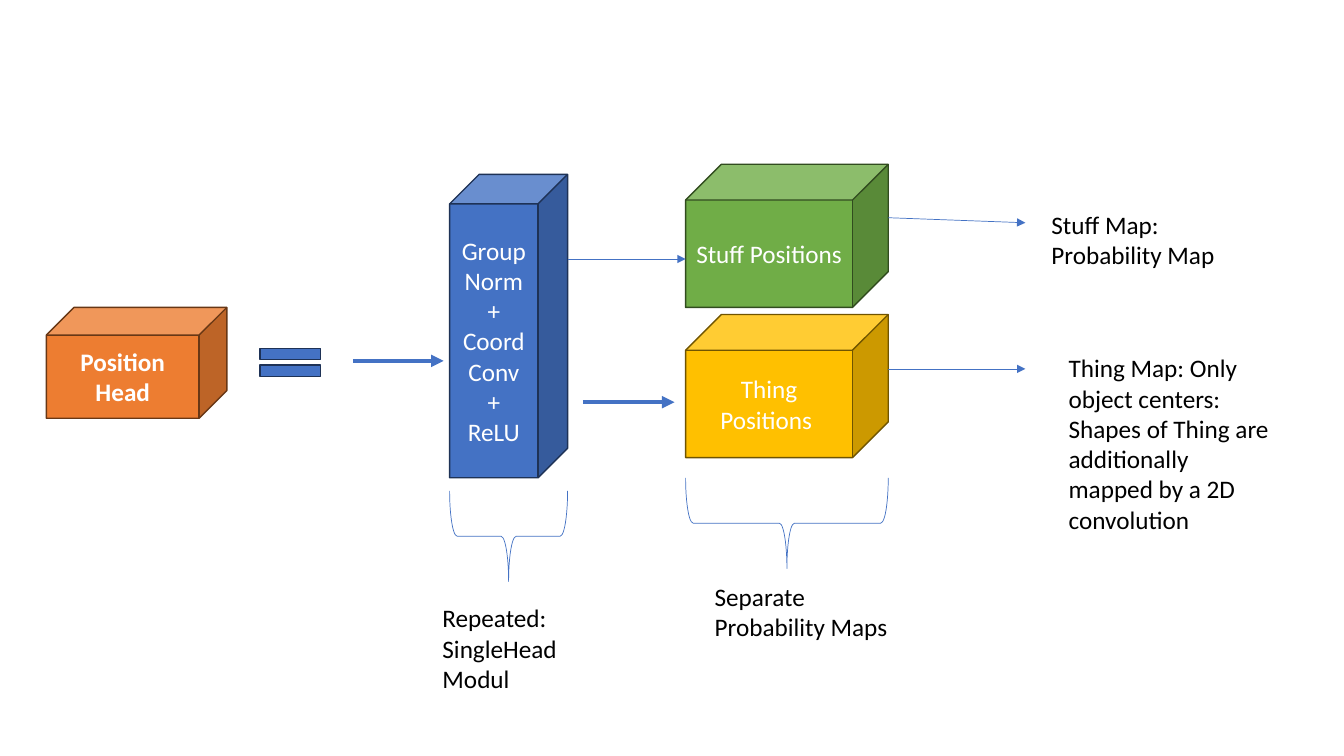
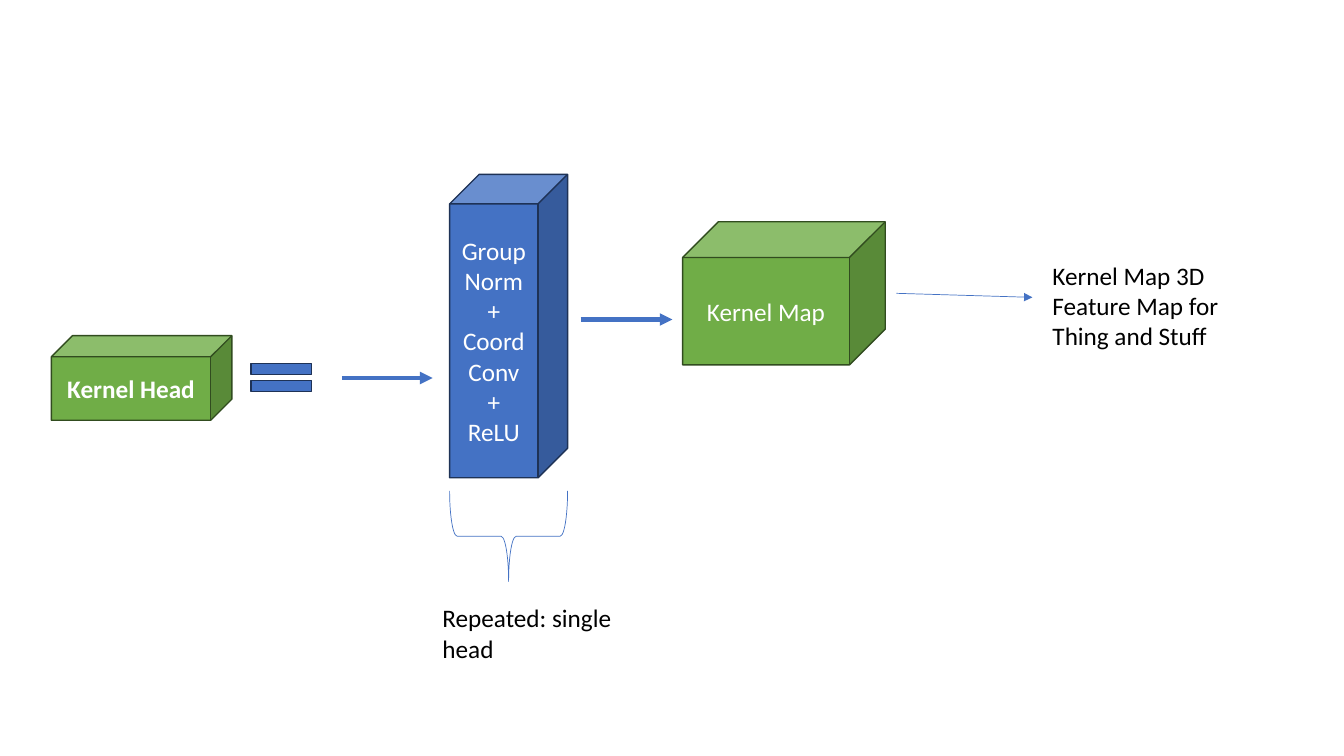
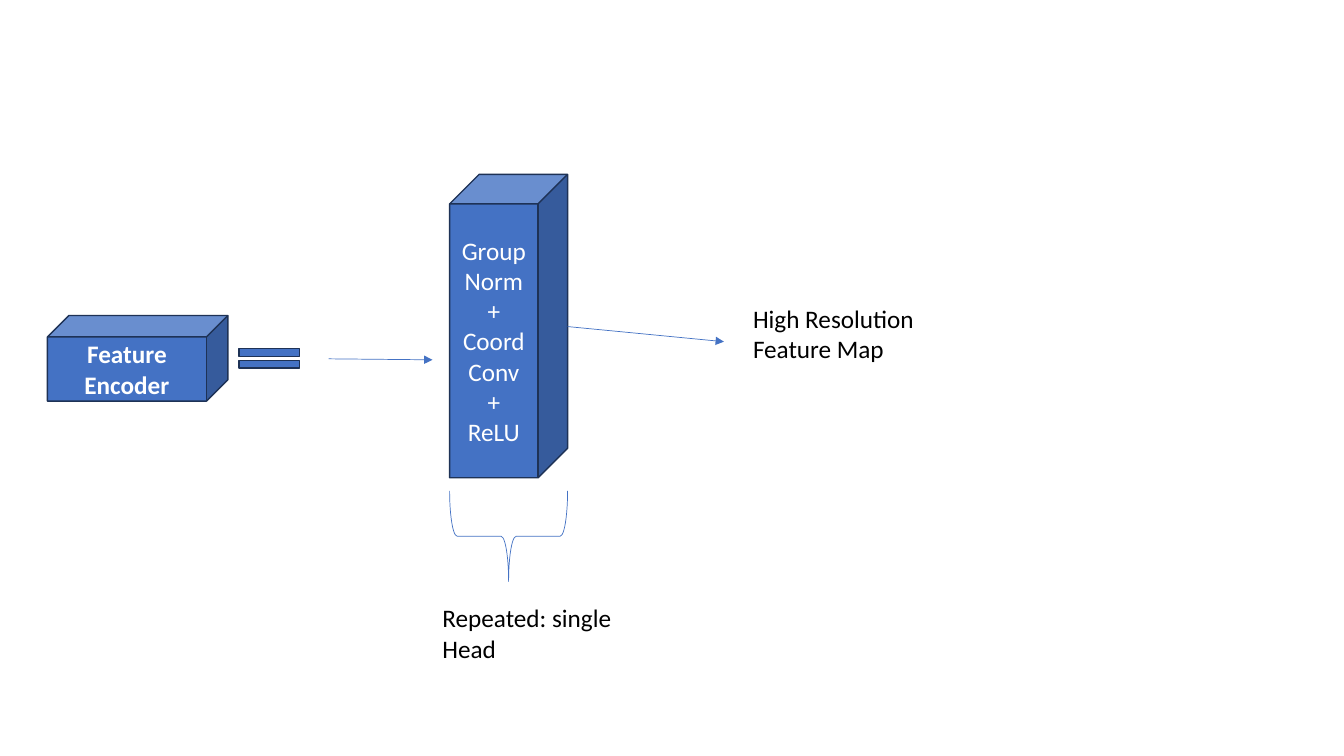
from lxml import etree
from pptx import Presentation
from pptx.dml.color import RGBColor
from pptx.enum.shapes import MSO_CONNECTOR, MSO_SHAPE
from pptx.enum.text import MSO_ANCHOR, MSO_AUTO_SIZE, PP_ALIGN
from pptx.oxml.ns import qn
from pptx.util import Inches, Pt

CUBE = MSO_SHAPE.CUBE
EQUALS = MSO_SHAPE.MATH_EQUAL
BRACE = MSO_SHAPE.LEFT_BRACE
STRAIGHT = MSO_CONNECTOR.STRAIGHT
CENTER, LEFT = PP_ALIGN.CENTER, PP_ALIGN.LEFT
MIDDLE, TOP = MSO_ANCHOR.MIDDLE, MSO_ANCHOR.TOP
GROW = MSO_AUTO_SIZE.SHAPE_TO_FIT_TEXT

SLIDE_WIDTH, SLIDE_HEIGHT = 13.33, 7.5
FONT, TEXT_SIZE = "Calibri", 18
BLACK, WHITE = "000000", "FFFFFF"
BLUE = ("4472C4", "1E3256")
GREEN = ("70AD47", "314C1F")
ORANGE = ("ED7D31", "683715")
GOLD = ("FFC000", "705400")
THIN, OUTLINE, THICK = 0.5, 1, 3

HEAD_WIDTH = 1.79
MODULE_LEFT, MODULE_TOP, MODULE_WIDTH, MODULE_HEIGHT = 4.46, 1.73, 1.17, 3.01
MODULE_RIGHT = MODULE_LEFT + MODULE_WIDTH
MODULE_LINES = ["GroupNorm", "+", "CoordConv", "+", "ReLU"]
MAP_LEFT, MAP_WIDTH, MAP_HEIGHT = 6.8, 2.01, 1.42
MAP_RIGHT = MAP_LEFT + MAP_WIDTH
BRACE_DEPTH = 0.9
CAPTION_WIDTH, RESULT_WIDTH = 1.94, 2.21
LINE_HEIGHT, TEXT_MARGINS = 0.3, 0.1


def color(code):
    return RGBColor.from_string(code)


def write(frame, lines, code, align, anchor, bold=False):
    frame.word_wrap = True
    frame.vertical_anchor = anchor
    for index, line in enumerate(lines):
        para = frame.paragraphs[0] if index == 0 else frame.add_paragraph()
        para.alignment = align
        span = para.add_run()
        span.text = line
        span.font.name = FONT
        span.font.size = Pt(TEXT_SIZE)
        span.font.bold = bold
        span.font.color.rgb = color(code)


def add_figure(page, kind, left, top, width, height, line, weight, fill=None):
    figure = page.shapes.add_shape(
        kind, Inches(left), Inches(top), Inches(width), Inches(height))
    figure.shadow.inherit = False
    if fill:
        figure.fill.solid()
        figure.fill.fore_color.rgb = color(fill)
    else:
        figure.fill.background()
    figure.line.color.rgb = color(line)
    figure.line.width = Pt(weight)
    return figure


def add_cube(page, left, top, width, height, paint, lines, bold=False):
    fill, line = paint
    cube = add_figure(page, CUBE, left, top, width, height, line, OUTLINE, fill)
    write(cube.text_frame, lines, WHITE, CENTER, MIDDLE, bold)


def add_head(page, left, top, height, paint, label):
    add_cube(page, left, top, HEAD_WIDTH, height, paint, [label], True)


def add_map(page, left, top, paint, label):
    add_cube(page, left, top, MAP_WIDTH, MAP_HEIGHT, paint, [label])


def add_equals(page, left, top, height):
    fill, line = BLUE
    add_figure(page, EQUALS, left, top, 0.82, height, line, OUTLINE, fill)


def add_brace(page, left, top, span_width):
    shift = (span_width - BRACE_DEPTH) / 2
    brace = add_figure(page, BRACE, left + shift, top - shift,
                       BRACE_DEPTH, span_width, BLUE[0], THIN)
    brace.rotation = 270


def add_label(page, left, top, width, rows, *lines):
    box = page.shapes.add_textbox(
        Inches(left), Inches(top), Inches(width),
        Inches(rows * LINE_HEIGHT + TEXT_MARGINS))
    write(box.text_frame, lines, BLACK, LEFT, TOP)
    box.text_frame.auto_size = GROW


def add_arrow(page, start, end, weight=THIN):
    arrow = page.shapes.add_connector(
        STRAIGHT, *(Inches(value) for value in (*start, *end)))
    arrow.line.color.rgb = color(BLUE[0])
    arrow.line.width = Pt(weight)
    tail = etree.SubElement(arrow.line._get_or_add_ln(), qn("a:tailEnd"))
    tail.set("type", "triangle")
    etree.SubElement(arrow._element.spPr, qn("a:effectLst"))


def add_module(page, caption, rows):
    add_cube(page, MODULE_LEFT, MODULE_TOP, MODULE_WIDTH, MODULE_HEIGHT,
             BLUE, MODULE_LINES)
    add_brace(page, MODULE_LEFT, 4.87, MODULE_WIDTH)
    add_label(page, 4.29, 5.93, CAPTION_WIDTH, rows, caption)


def build_position_head(page):
    add_head(page, 0.46, 3.05, 1.1, ORANGE, "Position Head")
    add_equals(page, 2.47, 3.36, 0.47)
    add_arrow(page, (3.5, 3.58), (4.4, 3.58), THICK)
    add_map(page, MAP_LEFT, 1.63, GREEN, "Stuff Positions")
    add_map(page, MAP_LEFT, 3.12, GOLD, "Thing Positions ")
    add_module(page, "Repeated: SingleHead Modul", 3)
    add_brace(page, MAP_LEFT, 4.74, MAP_WIDTH)
    add_label(page, 6.99, 5.72, CAPTION_WIDTH, 2, "Separate Probability Maps")
    add_arrow(page, (MODULE_RIGHT, 2.57), (MAP_LEFT, 2.57))
    add_arrow(page, (MAP_RIGHT, 2.16), (10.17, 2.21))
    add_arrow(page, (MAP_RIGHT, 3.66), (10.17, 3.66))
    add_label(page, 10.33, 2.03, RESULT_WIDTH, 2, "Stuff Map: Probability Map")
    add_label(page, 10.5, 3.45, RESULT_WIDTH, 6,
              "Thing Map: Only object centers:",
              "Shapes of Thing are additionally mapped by a 2D convolution")
    add_arrow(page, (5.78, 3.99), (6.69, 3.99), THICK)


def build_kernel_head(page):
    add_head(page, 0.51, 3.33, 0.84, GREEN, "Kernel Head")
    add_equals(page, 2.38, 3.51, 0.47)
    add_module(page, "Repeated: single head", 2)
    add_arrow(page, (3.39, 3.75), (4.29, 3.75), THICK)
    add_arrow(page, (5.76, 3.17), (6.67, 3.17), THICK)
    add_map(page, 6.77, 2.2, GREEN, "Kernel Map")
    add_arrow(page, (8.89, 2.91), (10.24, 2.95))
    add_label(page, 10.34, 2.53, RESULT_WIDTH, 3,
              "Kernel Map 3D Feature Map for Thing and Stuff")


def build_feature_encoder(page):
    add_head(page, 0.47, 3.13, 0.85, BLUE, "Feature Encoder")
    add_equals(page, 2.26, 3.39, 0.33)
    add_module(page, "Repeated: single Head", 2)
    add_label(page, 7.37, 2.96, RESULT_WIDTH, 2, "High Resolution Feature Map")
    add_arrow(page, (MODULE_RIGHT, 3.24), (7.18, 3.39))
    add_arrow(page, (3.26, 3.56), (4.29, 3.57))


def main():
    deck = Presentation()
    deck.slide_width = Inches(SLIDE_WIDTH)
    deck.slide_height = Inches(SLIDE_HEIGHT)
    blank = deck.slide_layouts[6]
    for build in (build_position_head, build_kernel_head, build_feature_encoder):
        build(deck.slides.add_slide(blank))
    deck.save("out.pptx")


if __name__ == "__main__":
    main()
